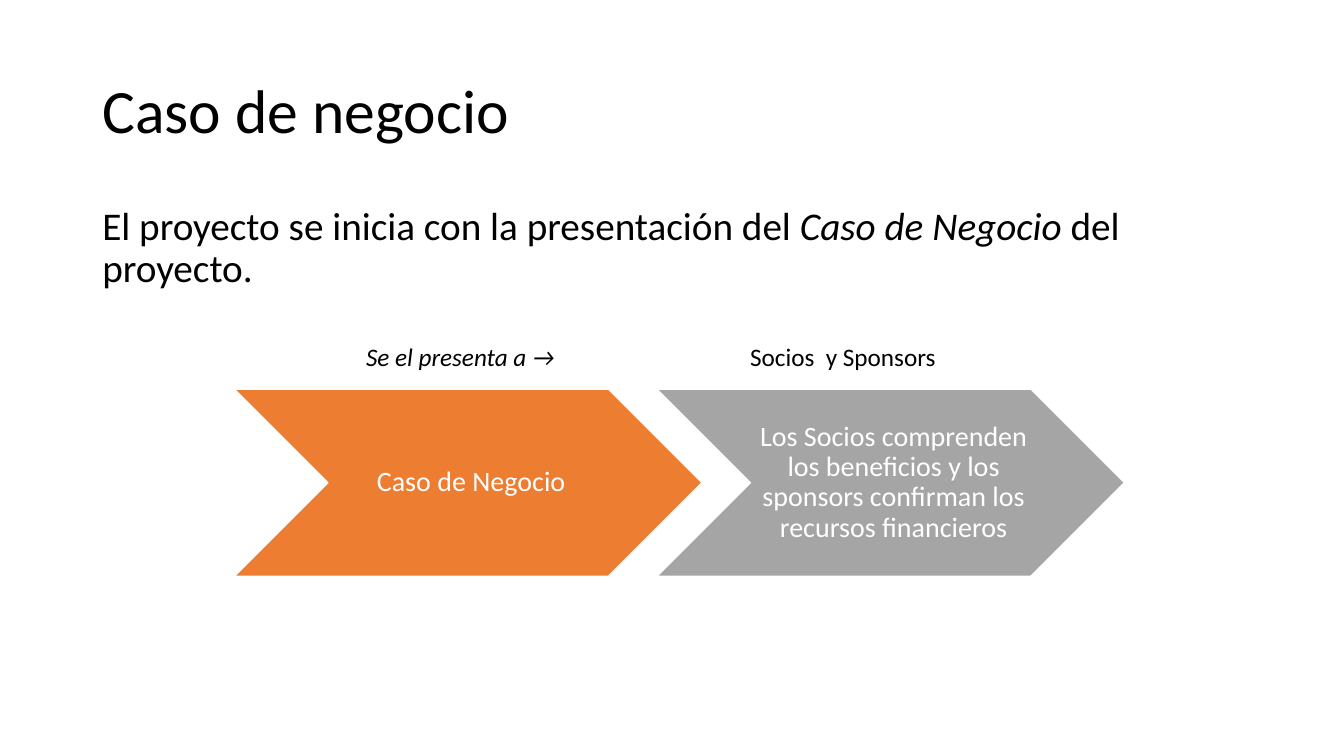
from dataclasses import dataclass

from pptx import Presentation
from pptx.dml.color import RGBColor as Color
from pptx.enum.shapes import MSO_SHAPE as Shape
from pptx.enum.text import MSO_ANCHOR as Anchor, MSO_AUTO_SIZE as AutoSize, PP_ALIGN as Align
from pptx.util import Pt


@dataclass(frozen=True)
class Theme:
    face: str = "Calibri"
    ink: Color = Color(0, 0, 0)
    paper: Color = Color(255, 255, 255)
    orange: Color = Color(0xED, 0x7D, 0x31)
    gray: Color = Color(0xA5, 0xA5, 0xA5)
    title: int = 44
    body: int = 28
    step: int = 20
    label: int = 18


THEME = Theme()


def style(para, size, color=THEME.ink, align=Align.LEFT, spacing=0.9):
    para.alignment = align
    para.line_spacing = spacing
    para.font.name = THEME.face
    para.font.size = Pt(size)
    para.font.color.rgb = color


def add_title(page, text, left, top, width, height):
    title = page.shapes.title
    title.left, title.top, title.width, title.height = map(Pt, (left, top, width, height))
    frame = title.text_frame
    frame.text = text
    frame.auto_size = AutoSize.NONE
    frame.vertical_anchor = Anchor.MIDDLE
    style(frame.paragraphs[0], THEME.title)


def add_body(page, spans, left, top, width, height):
    frame = page.shapes.add_textbox(*map(Pt, (left, top, width, height))).text_frame
    frame.word_wrap = True
    para = frame.paragraphs[0]
    for text, italic in spans:
        span = para.add_run()
        span.text = text
        if italic:
            span.font.italic = True
    style(para, THEME.body)


def add_chevron(page, text, fill, left, top, width, height):
    chevron = page.shapes.add_shape(Shape.CHEVRON, *map(Pt, (left, top, width, height)))
    chevron.shadow.inherit = False
    chevron.fill.solid()
    chevron.fill.fore_color.rgb = fill
    chevron.line.color.rgb = THEME.paper
    chevron.line.width = Pt(1)
    frame = chevron.text_frame
    frame.text = text
    frame.word_wrap = True
    frame.vertical_anchor = Anchor.MIDDLE
    frame.margin_left = Pt(6.3)
    frame.margin_top = frame.margin_right = frame.margin_bottom = Pt(2.1)
    style(frame.paragraphs[0], THEME.step, THEME.paper, Align.CENTER)


def add_label(page, text, italic, left, top, width, height):
    box = page.shapes.add_textbox(*map(Pt, (left, top, width, height)))
    frame = box.text_frame
    frame.text = text
    frame.word_wrap = False
    frame.auto_size = AutoSize.SHAPE_TO_FIT_TEXT
    para = frame.paragraphs[0]
    style(para, THEME.label, spacing=1)
    para.font.italic = italic


def add_process(page, steps, left, top, width, height):
    label_height = 29
    chevron_top = top + 38
    chevron_height = height - 38
    chevron_width = chevron_height * 2.5
    pitch = (width - chevron_width) / (len(steps) - 1)
    for index, (text, fill, label, italic, indent, label_width) in enumerate(steps):
        x = left + index * pitch
        add_chevron(page, text, fill, x, chevron_top, chevron_width, chevron_height)
        add_label(page, label, italic, x + indent, top, label_width, label_height)


def build_business_case(deck):
    page = deck.slides.add_slide(deck.slide_layouts[5])

    # Title and introduction
    add_title(page, "Caso de negocio", 66, 28.75, 828, 104.4)
    add_body(page, [
        ("El proyecto se inicia con la presentación del ", False),
        ("Caso de Negocio", True),
        (" del proyecto.", False),
    ], 66, 143.75, 828, 342.6)

    # Process: chevron text, fill, label, italic, label indent, label width
    add_process(page, [
        ("Caso de Negocio", THEME.orange, "Se el presenta a →", True, 87, 150),
        ("Los Socios comprenden los beneficios y los sponsors confirman los "
         "recursos financieros", THEME.gray, "Socios  y Sponsors", False, 59.5, 152.6),
    ], 167.4, 240, 635.8, 171.6)


def main():
    deck = Presentation()
    deck.slide_width, deck.slide_height = Pt(960), Pt(540)
    build_business_case(deck)
    deck.save("out.pptx")


if __name__ == "__main__":
    main()
